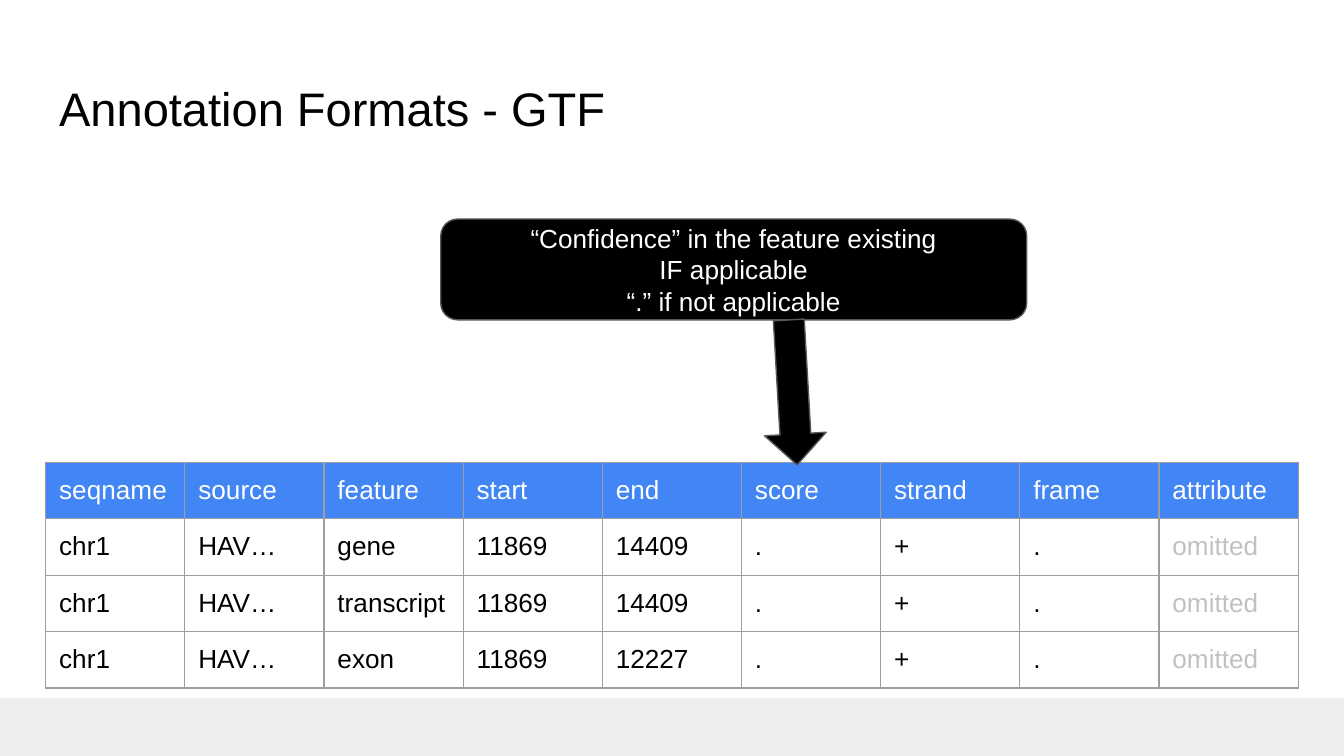
"""Build the GTF annotation format slide with its score column explained."""
import pptx
import pptx.util
import pptx.dml.color
import pptx.enum.shapes
import pptx.enum.text
import pptx.oxml
import pptx.oxml.ns

Inches = pptx.util.Inches
Pt = pptx.util.Pt
SHAPE = pptx.enum.shapes.MSO_SHAPE
ANCHOR = pptx.enum.text.MSO_ANCHOR
ALIGN = pptx.enum.text.PP_ALIGN

TITLE = "Annotation Formats - GTF"
CALLOUT = ["“Confidence” in the feature existing", "IF applicable\v“.” if not applicable"]
HEADER = ["seqname", "source", "feature", "start", "end", "score", "strand", "frame", "attribute"]
RECORDS = [("gene", "14409"), ("transcript", "14409"), ("exon", "12227")]
ROWS = [HEADER] + [
    ["chr1", "HAV…", feature, "11869", end, ".", "+", ".", "omitted"] for feature, end in RECORDS
]

THEME = {
    "font": "Arial", "title": 25.2, "body": 14, "line": 0.75, "inset": 0.1,
    "black": "000000", "white": "FFFFFF", "header": "4285F4", "muted": "C1C1C1",
    "border": "9E9E9E", "outline": "595959", "footer": "EEEEEE",
}
SLIDE_WIDTH = 10
SLIDE_HEIGHT = SLIDE_WIDTH * 9 / 16
FOOTER_HEIGHT = 0.43
LEFT, WIDTH = 0.34, 9.32
TABLE_TOP, ROW_HEIGHT = 3.44, 0.42


def rgb(name):
    """Return a theme colour."""
    return pptx.dml.color.RGBColor.from_string(THEME[name])


def style(p, size, color):
    """Format every run of a paragraph."""
    for r in p.runs:
        r.font.name = THEME["font"]
        r.font.size = Pt(THEME[size])
        r.font.color.rgb = rgb(color)


def set_insets(box):
    """Give a text frame or a cell equal margins."""
    inset = Inches(THEME["inset"])
    box.margin_left = box.margin_right = box.margin_top = box.margin_bottom = inset


def add_shape(s, kind, at, fill, outline=None):
    """Add a flat filled shape."""
    sp = s.shapes.add_shape(kind, *map(Inches, at))
    sp.shadow.inherit = False
    sp.fill.solid()
    sp.fill.fore_color.rgb = rgb(fill)
    if outline:
        sp.line.color.rgb = rgb(outline)
        sp.line.width = Pt(THEME["line"])
    else:
        sp.line.fill.background()
    return sp


def add_borders(cell):
    """Draw the four borders of a cell ahead of its fill."""
    tcPr = cell._tc.get_or_add_tcPr()
    for i, side in enumerate(("lnL", "lnR", "lnT", "lnB")):
        tcPr.insert(i, pptx.oxml.parse_xml(
            f'<a:{side} {pptx.oxml.ns.nsdecls("a")} w="{Pt(THEME["line"])}"><a:solidFill>'
            f'<a:srgbClr val="{THEME["border"]}"/></a:solidFill></a:{side}>'))


def add_title(s):
    """Place and format the title."""
    sp = s.shapes.title
    sp.left, sp.top, sp.width, sp.height = map(Inches, (LEFT, 0.49, WIDTH, 0.63))
    tf = sp.text_frame
    tf.text = TITLE
    tf.vertical_anchor = ANCHOR.MIDDLE
    set_insets(tf)
    tf.paragraphs[0].alignment = ALIGN.LEFT
    style(tf.paragraphs[0], "title", "black")


def add_records(s):
    """Add the table of GTF records."""
    at = (LEFT, TABLE_TOP, WIDTH, ROW_HEIGHT * len(ROWS))
    table = s.shapes.add_table(len(ROWS), len(HEADER), *map(Inches, at)).table
    for column in table.columns:
        column.width = Inches(WIDTH / len(HEADER))
    for i, row in enumerate(ROWS):
        table.rows[i].height = Inches(ROW_HEIGHT)
        for j, text in enumerate(row):
            cell = table.cell(i, j)
            cell.text = text
            set_insets(cell)
            if i == 0:
                cell.fill.solid()
                cell.fill.fore_color.rgb = rgb("header")
                color = "white"
            else:
                cell.fill.background()
                color = "muted" if text == "omitted" else "black"
            style(cell.text_frame.paragraphs[0], "body", color)
            add_borders(cell)


def add_callout(s):
    """Add the explanation and the arrow to the score column."""
    sp = add_shape(s, SHAPE.ROUNDED_RECTANGLE, (3.28, 1.63, 4.36, 0.75), "black", "outline")
    tf = sp.text_frame
    tf.word_wrap = True
    tf.vertical_anchor = ANCHOR.MIDDLE
    set_insets(tf)
    tf.text = "\n".join(CALLOUT)
    for p, text in zip(tf.paragraphs, CALLOUT):
        p.text = text
        p.alignment = ALIGN.CENTER
        style(p, "body", "white")
    arrow = add_shape(s, SHAPE.RIGHT_ARROW, (5.36, 2.69, 1.08, 0.46), "black", "outline")
    arrow.rotation = 86.7


def main():
    prs = pptx.Presentation()
    prs.slide_width, prs.slide_height = Inches(SLIDE_WIDTH), Inches(SLIDE_HEIGHT)
    s = prs.slides.add_slide(prs.slide_layouts[5])
    footer = (0, SLIDE_HEIGHT - FOOTER_HEIGHT, SLIDE_WIDTH, FOOTER_HEIGHT)
    add_shape(s, SHAPE.RECTANGLE, footer, "footer")
    add_title(s)
    add_records(s)
    add_callout(s)
    prs.save("out.pptx")


if __name__ == "__main__":
    main()
